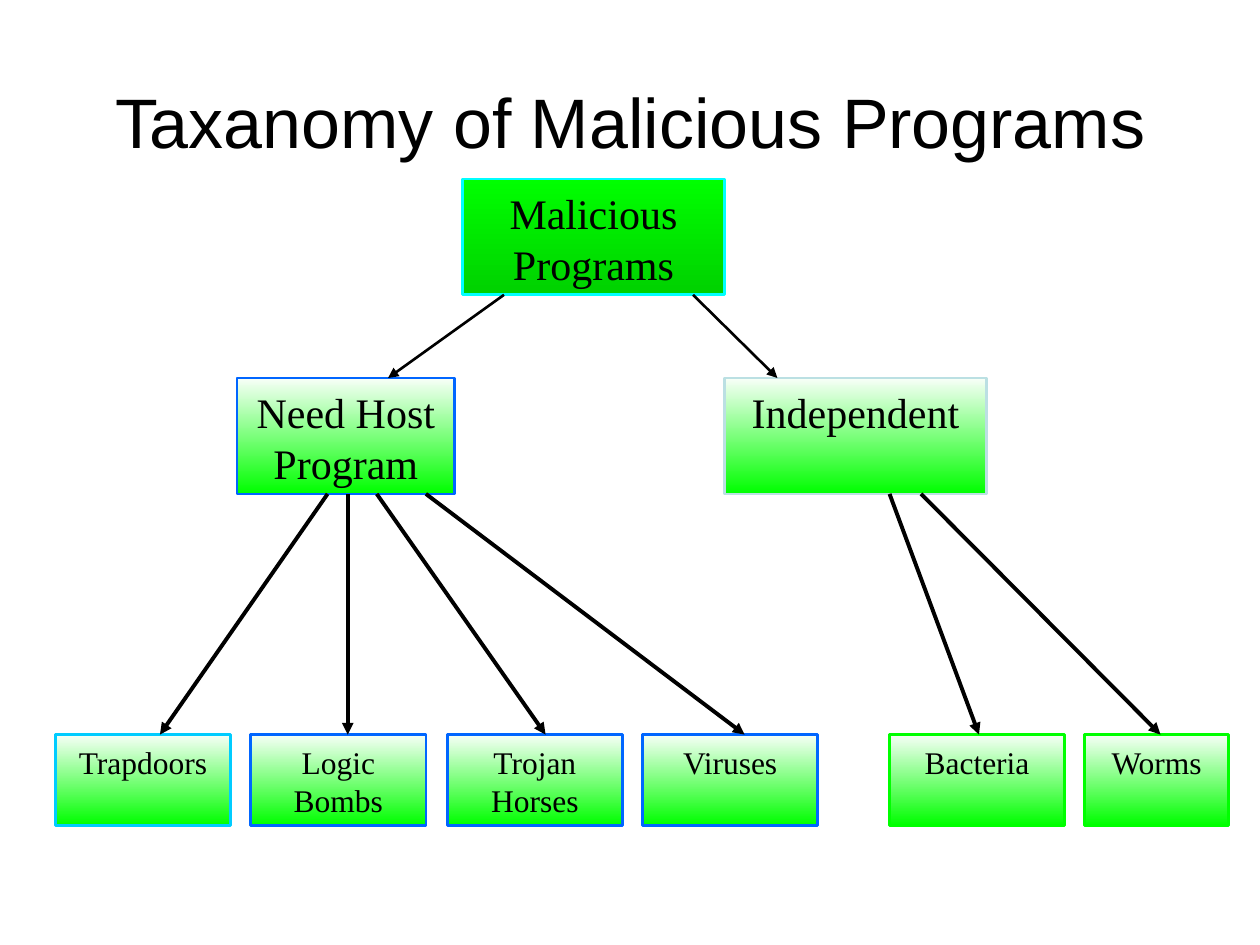
import pptx
import pptx.dml.color
import pptx.enum.shapes
import pptx.enum.text
import pptx.oxml
import pptx.oxml.ns
import pptx.util
from pptx.util import Inches

COLORS = {
    "black": "000000", "blue": "0066FF", "sky": "00CCFF", "cyan": "00FFFF",
    "pale": "BBE0E3", "green": "00FF00", "mint": "F8FFF8", "deep": "00D100",
}
LIGHT = ("mint", "green")
STRONG = ("green", "deep")

ROOT_TOP, BRANCH_TOP, LEAF_TOP = 1.42, 3, 5.83
MAIN_HEIGHT, LEAF_HEIGHT = 0.92, 0.72

# text, left, width, line colour
LEAVES = [
    ("Trapdoors", 0.44, 1.39, "sky"),
    ("Logic Bombs", 1.99, 1.39, "blue"),
    ("Trojan\nHorses", 3.55, 1.39, "blue"),
    ("Viruses", 5.1, 1.39, "blue"),
    ("Bacteria", 7.06, 1.39, "green"),
    ("Worms", 8.61, 1.14, "green"),
]
# x at the start and at the end of each arrow
ROOT_ARROWS = [(4, 3.08), (5.5, 6.17)]
LEAF_ARROWS = [(2.6, 1.27), (2.76, 2.76), (2.99, 4.33), (3.38, 5.91),
               (7.06, 7.77), (7.31, 9.21)]


def rgb(name):
    return pptx.dml.color.RGBColor.from_string(COLORS[name])


def write_text(frame, text, size, font="Times New Roman", color="black",
               anchor=pptx.enum.text.MSO_ANCHOR.TOP):
    """Fill a frame with centred text, one paragraph for each line."""
    frame.word_wrap = True
    frame.vertical_anchor = anchor
    for index, line in enumerate(text.split("\n")):
        para = frame.add_paragraph() if index else frame.paragraphs[0]
        para.alignment = pptx.enum.text.PP_ALIGN.CENTER
        span = para.add_run()
        span.text = line
        span.font.size = pptx.util.Pt(size)
        span.font.name = font
        span.font.color.rgb = rgb(color)


def add_title(page, text):
    title = page.shapes.title
    title.left, title.top = Inches(0.25), Inches(0.33)
    title.width, title.height = Inches(9.5), Inches(1.25)
    write_text(title.text_frame, text, 40, font="Arial",
               anchor=pptx.enum.text.MSO_ANCHOR.MIDDLE)


def add_box(page, text, left, top, width, height, line, size=24, shades=LIGHT):
    """Add a rectangle whose fill runs from the first shade down to the second."""
    box = page.shapes.add_shape(
        pptx.enum.shapes.MSO_SHAPE.RECTANGLE,
        Inches(left), Inches(top), Inches(width), Inches(height))
    box.shadow.inherit = False
    box.fill.gradient()
    box.fill.gradient_angle = 270
    for stop, shade in zip(box.fill.gradient_stops, shades):
        stop.color.rgb = rgb(shade)
    box.line.color.rgb = rgb(line)
    box.line.width = pptx.util.Pt(1.5)
    box.text_frame.margin_top = Inches(0.07)
    write_text(box.text_frame, text, size)


def add_arrow(page, start, end, width):
    arrow = page.shapes.add_connector(
        pptx.enum.shapes.MSO_CONNECTOR.STRAIGHT,
        *(Inches(length) for length in (*start, *end)))
    arrow.line.color.rgb = rgb("black")
    arrow.line.width = pptx.util.Pt(width)
    namespace = pptx.oxml.ns.nsdecls("a")
    arrow.line._get_or_add_ln().append(
        pptx.oxml.parse_xml(f'<a:tailEnd {namespace} type="triangle"/>'))
    arrow._element.spPr.append(
        pptx.oxml.parse_xml(f"<a:effectLst {namespace}/>"))


def main():
    deck = pptx.Presentation()
    deck.slide_width, deck.slide_height = Inches(10), Inches(7.5)
    page = deck.slides.add_slide(deck.slide_layouts.get_by_name("Title Only"))

    add_title(page, "Taxanomy of Malicious Programs")
    add_box(page, "Malicious Programs", 3.67, ROOT_TOP, 2.08, MAIN_HEIGHT,
            "cyan", shades=STRONG)
    add_box(page, "Need Host Program", 1.88, BRANCH_TOP, 1.73, MAIN_HEIGHT, "blue")
    add_box(page, "Independent", 5.75, BRANCH_TOP, 2.08, MAIN_HEIGHT, "pale")
    for text, left, width, line in LEAVES:
        add_box(page, text, left, LEAF_TOP, width, LEAF_HEIGHT, line, size=18)

    for start, end in ROOT_ARROWS:
        add_arrow(page, (start, ROOT_TOP + MAIN_HEIGHT), (end, BRANCH_TOP), 1.5)
    for start, end in LEAF_ARROWS:
        add_arrow(page, (start, BRANCH_TOP + MAIN_HEIGHT), (end, LEAF_TOP), 2.25)

    deck.save("out.pptx")


if __name__ == "__main__":
    main()
